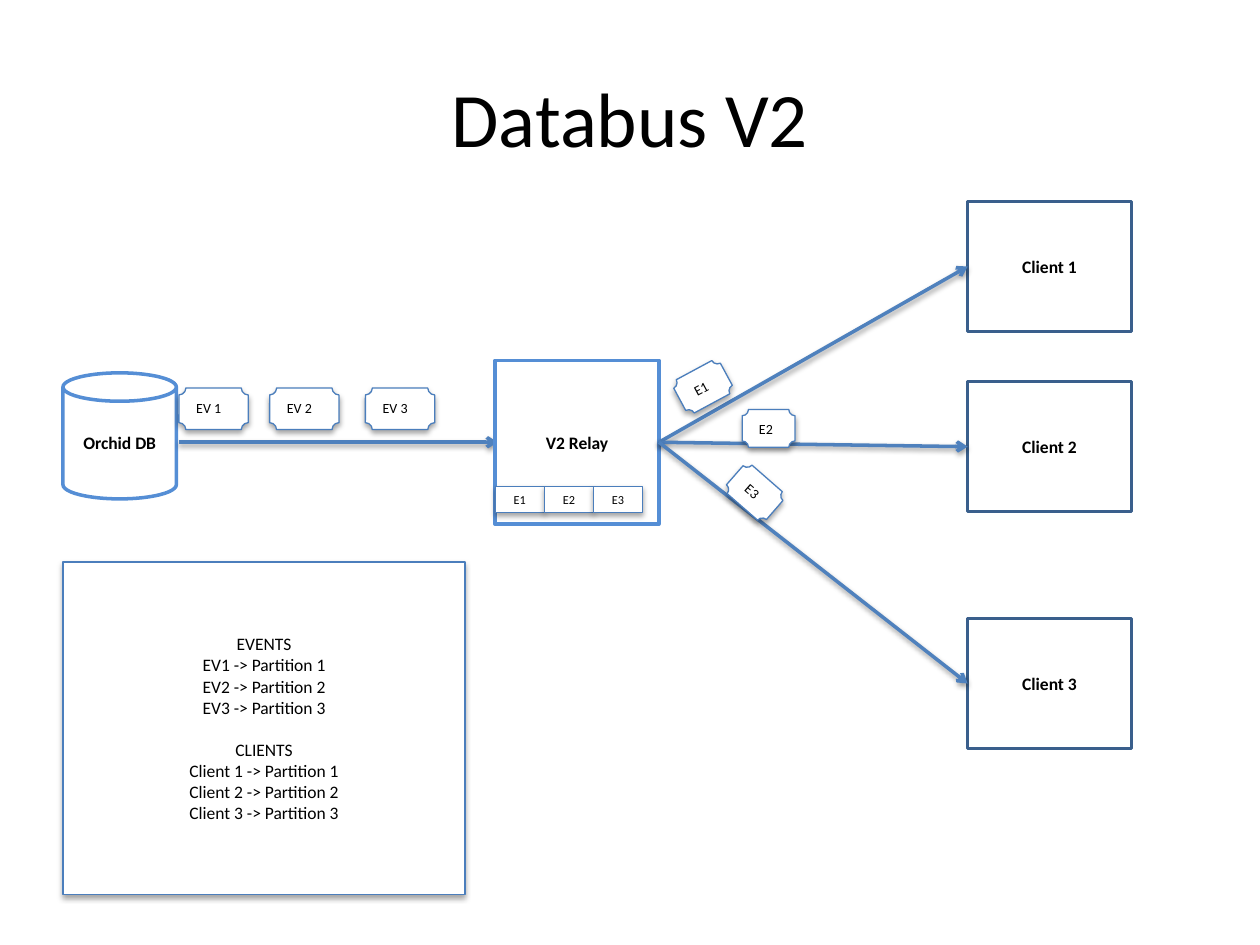
"""Build the Databus V2 event flow slide."""
from dataclasses import dataclass

from lxml import etree
from pptx import Presentation
from pptx.dml.color import RGBColor
from pptx.enum.shapes import MSO_CONNECTOR, MSO_SHAPE
from pptx.enum.text import MSO_ANCHOR, PP_ALIGN
from pptx.oxml import parse_xml
from pptx.oxml.ns import nsdecls, qn
from pptx.shapes.autoshape import Shape
from pptx.shapes.connector import Connector
from pptx.util import Inches, Pt

RECT, CAN, PLAQUE = MSO_SHAPE.RECTANGLE, MSO_SHAPE.CAN, MSO_SHAPE.PLAQUE
STRAIGHT = MSO_CONNECTOR.STRAIGHT
LEFT, CENTER = PP_ALIGN.LEFT, PP_ALIGN.CENTER
TOP, MIDDLE = MSO_ANCHOR.TOP, MSO_ANCHOR.MIDDLE
LEFT_SITE, RIGHT_SITE = 1, 3


@dataclass(frozen=True)
class Theme:
    """Colours, font and type sizes of the slide."""
    font: str = "Calibri"
    ink: str = "000000"
    paper: str = "FFFFFF"
    thin: str = "4B7EBC"
    node: str = "558ED5"
    client: str = "3A5F8C"
    arrow: str = "4F81BD"
    title: float = 44
    body: float = 10
    event: float = 8
    slot: float = 7
    heavy: float = 2
    light: float = 0.75


@dataclass(frozen=True)
class Box:
    """A labelled preset shape, measured in inches."""
    text: str
    x: float
    y: float
    w: float
    h: float
    kind: MSO_SHAPE = RECT
    line: str = ""
    size: float = 10
    turn: float = 0


THEME = Theme()


def shade(item: Shape | Connector, alpha: int, dist: float) -> None:
    """Give a shape or connector a soft shadow below it."""
    item._element.spPr.append(parse_xml(
        f'<a:effectLst {nsdecls("a")}><a:outerShdw blurRad="{Pt(3.1)}" '
        f'dist="{Pt(dist)}" dir="5400000" rotWithShape="0">'
        f'<a:srgbClr val="{THEME.ink}"><a:alpha val="{alpha * 1000}"/>'
        '</a:srgbClr></a:outerShdw></a:effectLst>'))


def draw(shapes, box: Box) -> Shape:
    """Draw a box; one with its own line colour is heavy, bold and flat."""
    node = shapes.add_shape(box.kind, Inches(box.x), Inches(box.y),
                            Inches(box.w), Inches(box.h))
    node.rotation = box.turn
    node.fill.solid()
    node.fill.fore_color.rgb = RGBColor.from_string(THEME.paper)
    node.line.color.rgb = RGBColor.from_string(box.line or THEME.thin)
    node.line.width = Pt(THEME.heavy if box.line else THEME.light)
    if box.line:
        node.shadow.inherit = False
    else:
        shade(node, 35, 1.8)
    frame = node.text_frame
    frame.word_wrap = True
    frame.text = box.text
    ticket = box.kind == PLAQUE
    frame.vertical_anchor = TOP if ticket else MIDDLE
    for para in frame.paragraphs:
        para.alignment = LEFT if ticket else CENTER
        style(para.font, box.size, bool(box.line))
    return node


def style(font, size: float, bold: bool = False) -> None:
    """Set the common text look."""
    font.name = THEME.font
    font.size = Pt(size)
    font.bold = bold
    font.color.rgb = RGBColor.from_string(THEME.ink)


def link(shapes, x: float, y: float, end_x: float, end_y: float) -> Connector:
    """Draw an arrow between two points."""
    line = shapes.add_connector(STRAIGHT, Inches(x), Inches(y),
                                Inches(end_x), Inches(end_y))
    line.line.color.rgb = RGBColor.from_string(THEME.arrow)
    line.line.width = Pt(THEME.heavy)
    etree.SubElement(line.line._ln, qn("a:tailEnd"), type="arrow")
    shade(line, 38, 1.6)
    return line


def main() -> None:
    """Build and save the slide."""
    deck = Presentation()
    deck.slide_width, deck.slide_height = Inches(10), Inches(7.5)
    slide = deck.slides.add_slide(deck.slide_layouts[5])
    shapes = slide.shapes

    title = shapes.title
    title.left, title.top = Inches(0.5), Inches(0.3)
    title.width, title.height = Inches(9), Inches(1.25)
    title.text_frame.text = "Databus V2"
    title.text_frame.vertical_anchor = MIDDLE
    head = title.text_frame.paragraphs[0]
    head.alignment = CENTER
    style(head.font, THEME.title)

    nums = (1, 2, 3)
    events = [f"EV{n} -> Partition {n}" for n in nums]
    users = [f"Client {n} -> Partition {n}" for n in nums]
    rows = ["EVENTS", *events, "CLIENTS", *users]
    legend = draw(shapes, Box("\n".join(rows), 0.5, 4.46, 3.19, 2.64,
                              size=THEME.body))
    legend.text_frame.paragraphs[rows.index("CLIENTS")].space_before = Pt(12.2)

    draw(shapes, Box("Orchid DB", 0.5, 2.96, 0.9, 1, CAN, THEME.node,
                     THEME.body))
    for n, x in zip(nums, (1.42, 2.14, 2.9)):
        draw(shapes, Box(f"EV {n}", x, 3.08, 0.55, 0.33, PLAQUE,
                         size=THEME.event))
    link(shapes, 1.42, 3.51, 3.95, 3.51)

    relay = draw(shapes, Box("V2 Relay", 3.93, 2.86, 1.3, 1.3,
                             line=THEME.node, size=THEME.body))
    for n in nums:
        draw(shapes, Box(f"E{n}", 3.93 + 0.39 * (n - 1), 3.86, 0.39, 0.21,
                         size=THEME.slot))

    clients = [draw(shapes, Box(f"Client {n}", 7.68, y, 1.3, 1.03,
                                line=THEME.client, size=THEME.body))
               for n, y in zip(nums, (1.6, 3.03, 4.91))]
    for client in clients:
        line = link(shapes, 5.23, 3.51, 7.68, 3.51)
        line.begin_connect(relay, RIGHT_SITE)
        line.end_connect(client, LEFT_SITE)

    spots = ((5.37, 2.92, 331.7), (5.89, 3.25, 0), (5.78, 3.76, 41.1))
    for n, (x, y, turn) in zip(nums, spots):
        draw(shapes, Box(f"E{n}", x, y, 0.42, 0.3, PLAQUE,
                         size=THEME.event, turn=turn))

    deck.save("out.pptx")


main()
